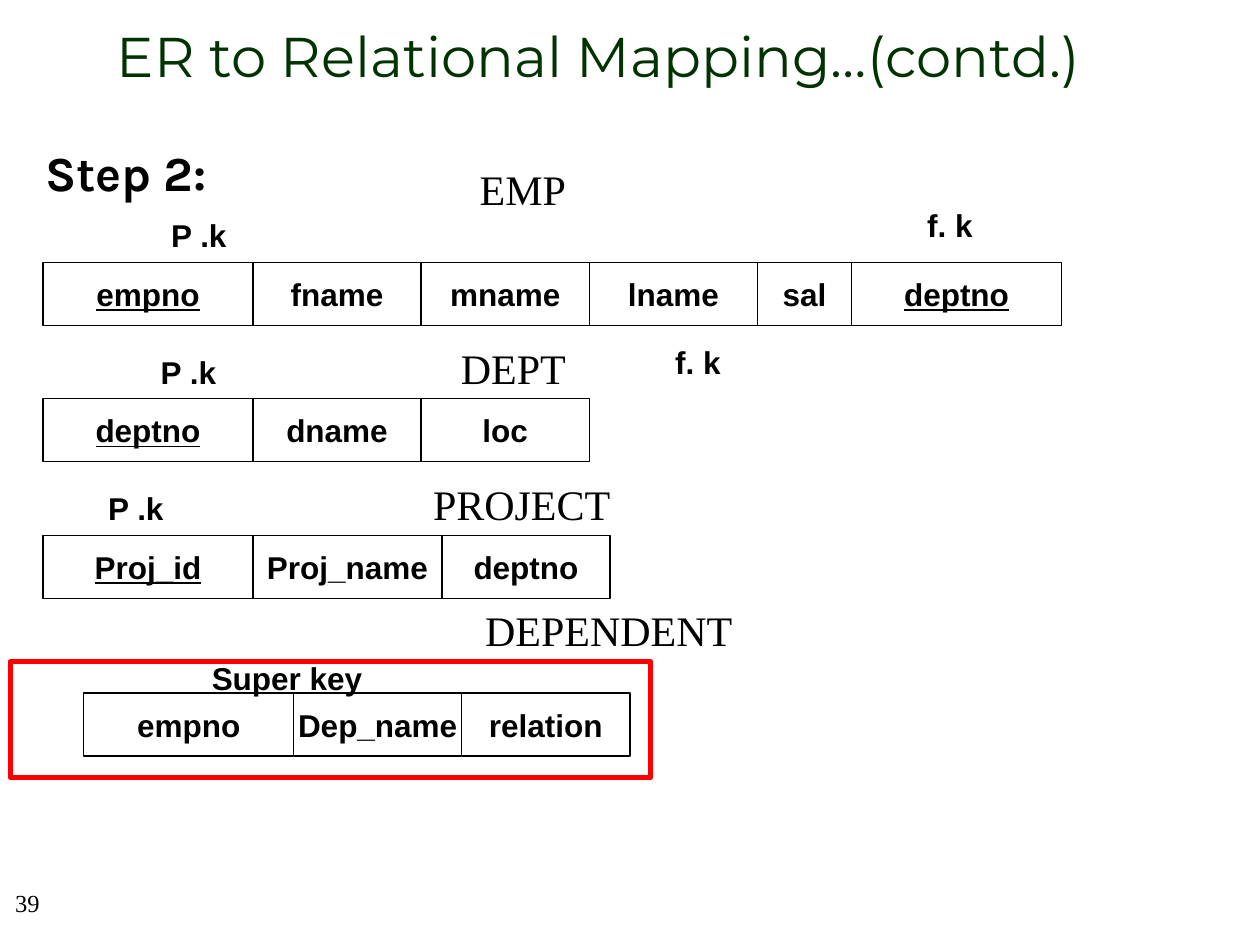
from pptx import Presentation
from pptx import util as u
from pptx.dml.color import RGBColor
from pptx.enum import shapes, text

COLORS = {"title": "003300", "ink": "000000", "highlight": "FF0000"}
SERIF, SANS = "Times New Roman", "Arial"
ROW_HEIGHT = 1.27
KEY, COLUMN, WIDE, NARROW = 4.23, 3.39, 3.81, 1.9


class SchemaSlide:
    def __init__(self, deck):
        self.slide = deck.slides.add_slide(deck.slide_layouts[5])

    def style(self, paragraph, font, size, bold=False, color="ink", align=None, underline=None):
        paragraph.alignment = align
        paragraph.font.name = font
        paragraph.font.size = u.Pt(size)
        paragraph.font.bold = bold
        paragraph.font.underline = underline
        paragraph.font.color.rgb = RGBColor.from_string(COLORS[color])

    def title(self, words, left, top, width, height):
        heading = self.slide.shapes.title
        heading.left, heading.top = u.Cm(left), u.Cm(top)
        heading.width, heading.height = u.Cm(width), u.Cm(height)
        heading.text_frame.text = words
        heading.text_frame.auto_size = text.MSO_AUTO_SIZE.NONE
        heading.text_frame.vertical_anchor = text.MSO_ANCHOR.MIDDLE
        self.style(heading.text_frame.paragraphs[0], "Montserrat", 32,
                   color="title", align=text.PP_ALIGN.CENTER)

    def label(self, words, left, top, width, height, font=SANS, size=18, bold=True,
              align=None, wrap=True):
        frame = self.slide.shapes.add_textbox(
            u.Cm(left), u.Cm(top), u.Cm(width), u.Cm(height)).text_frame
        frame.word_wrap = wrap
        frame.text = words
        self.style(frame.paragraphs[0], font, size, bold, align=align)

    def relation_name(self, words, left, top, width, wrap=True):
        self.label(words, left, top, width, ROW_HEIGHT, SERIF, 24, False, wrap=wrap)

    def box(self, left, top, width, height, color="ink", weight=0.75):
        outline = self.slide.shapes.add_shape(
            shapes.MSO_SHAPE.RECTANGLE, u.Cm(left), u.Cm(top), u.Cm(width), u.Cm(height))
        outline.shadow.inherit = False
        outline.fill.background()
        outline.line.color.rgb = RGBColor.from_string(COLORS[color])
        outline.line.width = u.Pt(weight)
        return outline

    def relation(self, left, top, attributes):
        for name, width, underlined in attributes:
            frame = self.box(left, top, width, ROW_HEIGHT).text_frame
            frame.word_wrap = False
            frame.vertical_anchor = text.MSO_ANCHOR.MIDDLE
            frame.text = name
            self.style(frame.paragraphs[0], SANS, 18, True,
                       align=text.PP_ALIGN.CENTER, underline=underlined)
            left += width


def main():
    deck = Presentation()
    deck.slide_width, deck.slide_height = u.Cm(25.4), u.Cm(19.05)
    schema = SchemaSlide(deck)

    schema.title("ER to Relational Mapping…(contd.)", 0.64, 0, 22.86, 2.21)
    schema.label("Step 2:", 0.66, 2.74, 4.24, 1.42, "Karla", 28)

    for name, left, top, width, wrap in [
        ("EMP", 9.42, 3.18, 2.24, True),
        ("DEPT", 9.04, 6.78, 2.62, False),
        ("PROJECT", 8.48, 9.53, 6.17, True),
        ("DEPENDENT", 9.53, 12.07, 6.17, True),
    ]:
        schema.relation_name(name, left, top, width, wrap)

    for left, top, attributes in [
        (0.87, 5.29, [("empno", KEY, True), ("fname", COLUMN, False),
                      ("mname", COLUMN, False), ("lname", COLUMN, False),
                      ("sal", NARROW, False), ("deptno", KEY, True)]),
        (0.87, 8.04, [("deptno", KEY, True), ("dname", COLUMN, False),
                      ("loc", COLUMN, False)]),
        (0.87, 10.8, [("Proj_id", KEY, True), ("Proj_name", WIDE, False),
                      ("deptno", COLUMN, False)]),
        (1.69, 13.97, [("empno", KEY, False), ("Dep_name", COLUMN, False),
                       ("relation", COLUMN, False)]),
    ]:
        schema.relation(left, top, attributes)

    schema.box(0.21, 13.34, 12.91, 2.33, "highlight", 3)

    for key, left, top, width in [
        ("P .k", 3.2, 4.23, 2.12),
        ("f. k", 18.44, 4.02, 2.12),
        ("P .k", 2.99, 6.99, 2.12),
        ("f. k", 13.36, 6.8, 2.12),
        ("P .k", 1.93, 9.74, 2.12),
        ("Super key", 4.02, 13.16, 5.08),
    ]:
        schema.label(key, left, top, width, 1.02)

    schema.label("39", -0.43, 17.78, 1.48, 1.27, SERIF, 14, False, text.PP_ALIGN.RIGHT)
    deck.save("out.pptx")


if __name__ == "__main__":
    main()
